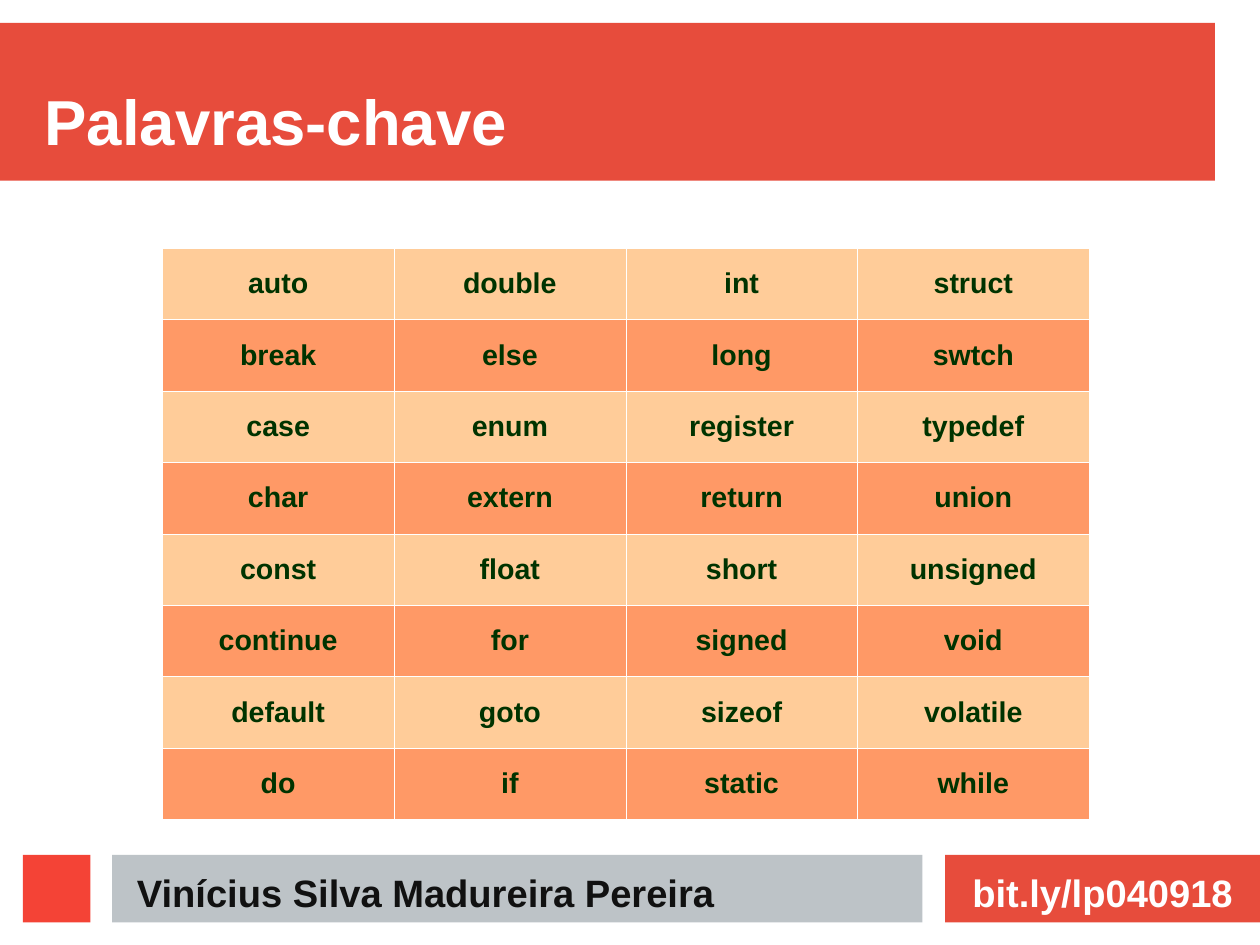
from dataclasses import dataclass

from lxml import etree
from pptx import Presentation
from pptx.dml.color import RGBColor
from pptx.enum.shapes import MSO_SHAPE
from pptx.enum.text import MSO_ANCHOR, PP_ALIGN
from pptx.oxml.ns import qn
from pptx.util import Inches, Pt

RECT = MSO_SHAPE.RECTANGLE
LEFT, CENTER = PP_ALIGN.LEFT, PP_ALIGN.CENTER
TOP, MIDDLE, BOTTOM = MSO_ANCHOR.TOP, MSO_ANCHOR.MIDDLE, MSO_ANCHOR.BOTTOM

# The page measures 28 by 21 cm
CM_PER_INCH = 2.54
PAGE_WIDTH, PAGE_HEIGHT = 28 / CM_PER_INCH, 21 / CM_PER_INCH


@dataclass(frozen=True)
class Theme:
    font: str = "Arial"
    red: str = "E74C3C"
    bright_red: str = "F44336"
    gray: str = "BDC3C7"
    white: str = "FFFFFF"
    black: str = "111111"
    keyword: str = "003300"
    row_fills: tuple[str, str] = ("FFCC99", "FF9966")
    title_size: int = 40
    footer_size: int = 24
    cell_size: int = 18
    border_width: float = 0.06


THEME = Theme()


@dataclass(frozen=True)
class Box:
    left: float
    top: float
    width: float
    height: float

    def emu(self) -> tuple:
        return tuple(Inches(v) for v in (self.left, self.top, self.width, self.height))


@dataclass(frozen=True)
class Band:
    box: Box
    fill: str


@dataclass(frozen=True)
class Label:
    box: Box
    text: str
    size: int
    color: str
    align: PP_ALIGN = LEFT
    anchor: MSO_ANCHOR = TOP
    inset: tuple[float, float] = (0.1, 0.05)


FOOTER_TOP, FOOTER_HEIGHT = 7.48, 0.59
FOOTER_TEXT_TOP, FOOTER_TEXT_HEIGHT = 7.56, 0.47
LINK_LEFT = 8.27
LINK_WIDTH = PAGE_WIDTH - LINK_LEFT

BANDS = [
    Band(Box(0, 0.2, 10.63, 1.38), THEME.red),
    Band(Box(LINK_LEFT, FOOTER_TOP, LINK_WIDTH, FOOTER_HEIGHT), THEME.red),
    Band(Box(0.98, FOOTER_TOP, 7.09, FOOTER_HEIGHT), THEME.gray),
    Band(Box(0.2, FOOTER_TOP, 0.59, FOOTER_HEIGHT), THEME.bright_red),
]

LABELS = [
    Label(Box(0.39, 0.24, 10.24, 1.14), "Palavras-chave", THEME.title_size,
          THEME.white, anchor=BOTTOM, inset=(0, 0)),
    Label(Box(1.1, FOOTER_TEXT_TOP, 6.69, FOOTER_TEXT_HEIGHT),
          "Vinícius Silva Madureira Pereira", THEME.footer_size, THEME.black),
    Label(Box(LINK_LEFT, FOOTER_TEXT_TOP, LINK_WIDTH, FOOTER_TEXT_HEIGHT),
          "bit.ly/lp040918", THEME.footer_size, THEME.white, CENTER),
]

KEYWORD_BOX = Box(1.42, 2.17, 8.11, 5)
KEYWORDS = [
    ("auto", "double", "int", "struct"),
    ("break", "else", "long", "swtch"),
    ("case", "enum", "register", "typedef"),
    ("char", "extern", "return", "union"),
    ("const", "float", "short", "unsigned"),
    ("continue", "for", "signed", "void"),
    ("default", "goto", "sizeof", "volatile"),
    ("do", "if", "static", "while"),
]


def add_run(p, text: str, size: int, color: str, align: PP_ALIGN) -> None:
    p.alignment = align
    r = p.add_run()
    r.text = text
    r.font.name = THEME.font
    r.font.size = Pt(size)
    r.font.bold = True
    r.font.color.rgb = RGBColor.from_string(color)


def add_band(s, band: Band) -> None:
    sp = s.shapes.add_shape(RECT, *band.box.emu())
    sp.shadow.inherit = False
    sp.fill.solid()
    sp.fill.fore_color.rgb = RGBColor.from_string(band.fill)
    sp.line.fill.background()


def add_label(s, label: Label) -> None:
    tf = s.shapes.add_textbox(*label.box.emu()).text_frame
    tf.word_wrap = True
    tf.vertical_anchor = label.anchor
    side, edge = (Inches(v) for v in label.inset)
    tf.margin_left = tf.margin_right = side
    tf.margin_top = tf.margin_bottom = edge
    add_run(tf.paragraphs[0], label.text, label.size, label.color, label.align)


def add_borders(cell) -> None:
    tc_pr = cell._tc.get_or_add_tcPr()
    for side in ("a:lnL", "a:lnR", "a:lnT", "a:lnB"):
        ln = etree.SubElement(tc_pr, qn(side), w=str(Pt(THEME.border_width)))
        fill = etree.SubElement(ln, qn("a:solidFill"))
        etree.SubElement(fill, qn("a:srgbClr"), val=THEME.white)


def add_keywords(s, box: Box, rows: list[tuple[str, ...]]) -> None:
    table = s.shapes.add_table(len(rows), len(rows[0]), *box.emu()).table
    for column in table.columns:
        column.width = Inches(box.width / len(rows[0]))
    for i, words in enumerate(rows):
        table.rows[i].height = Inches(box.height / len(rows))
        row_fill = THEME.row_fills[i % 2]
        for j, word in enumerate(words):
            cell = table.cell(i, j)
            cell.vertical_anchor = MIDDLE
            add_borders(cell)
            cell.fill.solid()
            cell.fill.fore_color.rgb = RGBColor.from_string(row_fill)
            add_run(cell.text_frame.paragraphs[0], word, THEME.cell_size,
                    THEME.keyword, CENTER)


def main() -> None:
    prs = Presentation()
    prs.slide_width, prs.slide_height = Inches(PAGE_WIDTH), Inches(PAGE_HEIGHT)
    s = prs.slides.add_slide(prs.slide_layouts[6])

    # Title band and footer blocks
    for band in BANDS:
        add_band(s, band)

    # Title and footer text
    for label in LABELS:
        add_label(s, label)

    # Keyword table
    add_keywords(s, KEYWORD_BOX, KEYWORDS)

    prs.save("out.pptx")


if __name__ == "__main__":
    main()
